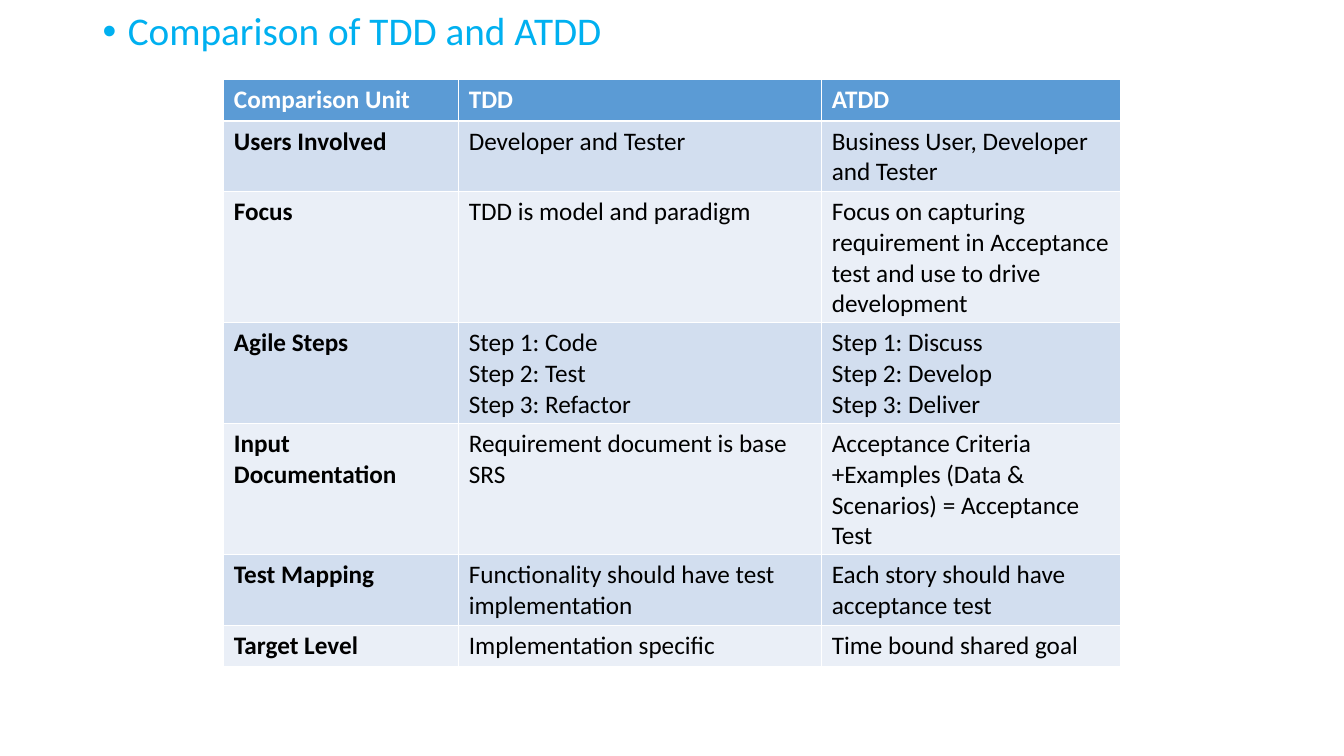
from lxml.etree import SubElement
from pptx import Presentation
from pptx.dml.color import RGBColor
from pptx.oxml.ns import qn
from pptx.util import Inches, Pt

WHITE = RGBColor(0xFF, 0xFF, 0xFF)
BLACK = RGBColor(0x00, 0x00, 0x00)
SKY = RGBColor(0x00, 0xB0, 0xF0)
HEADER = RGBColor(0x5B, 0x9B, 0xD5)
BANDS = [RGBColor(0xEA, 0xEF, 0xF7), RGBColor(0xD2, 0xDE, 0xEF)]

COL_WIDTHS = [2.33, 3.6, 2.96]
ROW_HEIGHT = 0.41
ROWS = [
    ["Comparison Unit", "TDD", "ATDD"],
    ["Users Involved", "Developer and Tester", "Business User, Developer and Tester"],
    ["Focus", "TDD is model and paradigm",
     "Focus on capturing requirement in Acceptance test and use to drive development"],
    ["Agile Steps", "Step 1: Code\nStep 2: Test\nStep 3: Refactor",
     "Step 1: Discuss\nStep 2: Develop\nStep 3: Deliver"],
    ["Input Documentation", "Requirement document is base SRS",
     "Acceptance Criteria +Examples (Data & Scenarios) = Acceptance Test"],
    ["Test Mapping", "Functionality should have test implementation",
     "Each story should have acceptance test"],
    ["Target Level", "Implementation specific", "Time bound shared goal"],
]


def style_font(font, size, color, bold=False):
    for name, value in {"name": "Calibri", "size": Pt(size), "bold": bold}.items():
        setattr(font, name, value)
    font.color.rgb = color


prs = Presentation()
prs.slide_width, prs.slide_height = Inches(13.33), Inches(7.5)
s = prs.slides.add_slide(prs.slide_layouts[6])

# Bulleted heading
sp = s.shapes.add_textbox(Inches(0.92), Inches(0.07), Inches(12.29), Inches(6.88))
tf = sp.text_frame
tf.word_wrap = True
p = tf.paragraphs[0]
p.line_spacing = 0.9
p.space_before = Pt(10)
r = p.add_run()
r.text = "Comparison of TDD and ATDD"
style_font(r.font, 28, SKY)
pPr = p._p.get_or_add_pPr()
pPr.set("marL", str(Inches(0.25)))
pPr.set("indent", str(Inches(-0.25)))
SubElement(pPr, qn("a:buFont")).set("typeface", "Arial")
SubElement(pPr, qn("a:buChar")).set("char", "•")

# Comparison table: rows grow to fit their text, white rules come from the table style
table = s.shapes.add_table(
    len(ROWS), len(COL_WIDTHS), Inches(2.22), Inches(0.79),
    Inches(sum(COL_WIDTHS)), Inches(ROW_HEIGHT * len(ROWS))).table
for column, width in zip(table.columns, COL_WIDTHS):
    column.width = Inches(width)

for i, texts in enumerate(ROWS):
    table.rows[i].height = Inches(ROW_HEIGHT)
    for j, text in enumerate(texts):
        cell = table.cell(i, j)
        cell.text = text
        cell.fill.solid()
        cell.fill.fore_color.rgb = HEADER if i == 0 else BANDS[i % 2]
        for p in cell.text_frame.paragraphs:
            style_font(p.runs[0].font, 18, WHITE if i == 0 else BLACK, i == 0 or j == 0)

prs.save("out.pptx")
